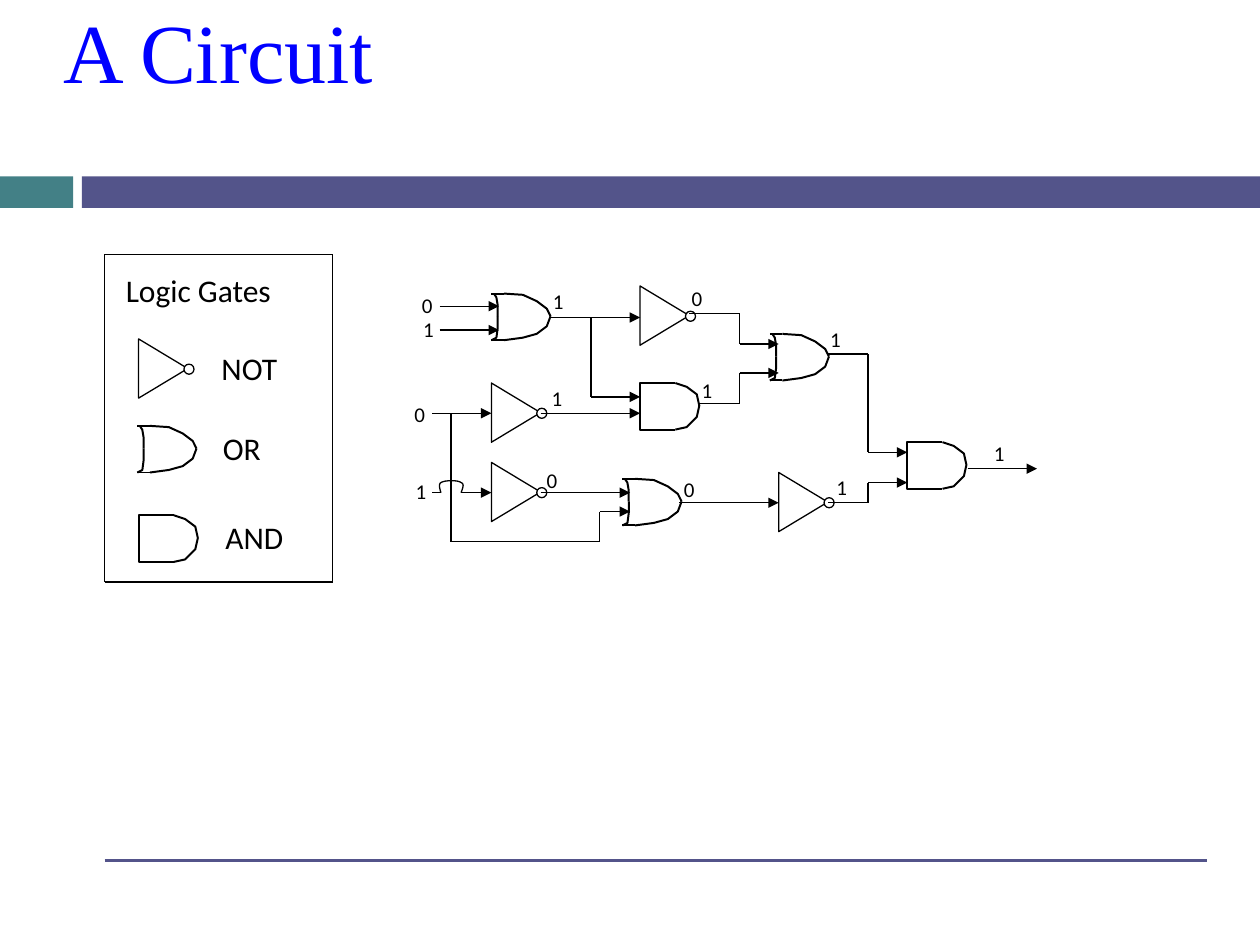
from itertools import pairwise

from lxml import etree
from pptx import Presentation
from pptx import util as u
from pptx.dml.color import RGBColor
from pptx.enum import shapes, text
from pptx.oxml.ns import qn

PX = 9144  # 100 px to the inch
COLORS = {"teal": "438086", "indigo": "53548A", "title": "0000FF",
          "ink": "000000", "paper": "FFFFFF"}
THIN, THICK = 0.75, 1.13

BARS = [(0, 140, 58, 25, "teal"), (65, 140, 935, 25, "indigo")]
FOOTER_RULE = [(83, 683), (958, 683)]
LEGEND_FRAME = [(83, 202), (264, 202), (264, 462), (83, 462), (83, 202)]
LEGEND_LABELS = [("Logic Gates", 90, 210, 166), ("NOT", 166, 272, 74),
                 ("OR", 167, 336, 57), ("AND", 169, 406, 75)]

# Left and top of each gate; the first of each kind stands in the legend
NOT_GATES = [(110, 269), (618, 375), (508, 227), (390, 367), (390, 304)]
OR_GATES = [(109, 338), (611, 265), (494, 380), (390, 233)]
AND_GATES = [(110, 409), (720, 351), (508, 304)]

OR_OUTLINE = [
    [(47, 18), (44, 26), (36, 32), (25, 35), (10, 37)],
    [(10, 0), (25, 1), (36, 6), (44, 12), (47, 18)],
    [(5, 18), (5, 27), (4, 35), (0, 37)],
    [(5, 18), (5, 9), (4, 3), (2, 0)],
]
OR_EDGES = [[(0, 0), (10, 0)], [(0, 37), (10, 37)]]
AND_OUTLINE = [
    [(28, 0), (37, 3), (45, 9), (47, 18), (45, 27), (37, 35), (28, 37)],
    [(28, 0), (0, 0), (0, 37), (28, 37)],
]

ARROW_WIRES = [
    [(349, 243), (396, 243)],
    [(349, 262), (396, 262)],
    [(343, 328), (390, 328)],
    [(366, 391), (390, 391)],
    [(429, 391), (500, 391)],
    [(358, 328), (358, 430), (476, 430), (476, 406), (500, 406)],
    [(429, 328), (508, 328)],
    [(437, 252), (508, 252)],
    [(469, 252), (469, 315), (508, 315)],
    [(555, 320), (587, 320), (587, 296), (618, 296)],
    [(547, 249), (587, 249), (587, 273), (618, 273)],
    [(657, 281), (689, 281), (689, 359), (720, 359)],
    [(539, 399), (618, 399)],
    [(657, 399), (689, 399), (689, 383), (720, 383)],
    [(768, 372), (823, 372)],
]
PLAIN_WIRE = [(343, 391), (350, 391)]
BRIDGE_CURVES = [  # Bezier control points of the wire crossing
    [(350, 391), (349, 388), (348, 384), (350, 383)],
    [(350, 383), (353, 381), (364, 381), (366, 383)],
    [(366, 383), (369, 384), (367, 388), (366, 391)],
]
SIGNALS = [("1", 779, 345), ("1", 649, 254), ("1", 654, 372), ("0", 533, 373),
           ("0", 424, 366), ("0", 539, 222), ("1", 547, 295), ("1", 428, 301),
           ("1", 429, 224), ("1", 326, 246), ("1", 320, 375), ("0", 325, 227),
           ("0", 319, 314)]


def emu(*lengths):
    return [round(length * PX) for length in lengths]


def color(name):
    return RGBColor.from_string(COLORS[name])


def style_line(line, width, name="ink"):
    line.color.rgb = color(name)
    line.width = u.Pt(width)


def add_run(paragraph, words, size, font, name):
    run = paragraph.add_run()
    run.text = words
    run.font.size = u.Pt(size)
    run.font.name = font
    run.font.color.rgb = color(name)


def add_label(slide, words, left, top, width, height, size):
    box = slide.shapes.add_textbox(*emu(left, top, width, height))
    box.text_frame.word_wrap = True
    add_run(box.text_frame.paragraphs[0], words, size, "Calibri", "ink")


def add_solid(parent, kind, frame, fill, outlined=True):
    shape = parent.shapes.add_shape(kind, *emu(*frame))
    shape.shadow.inherit = False
    shape.fill.solid()
    shape.fill.fore_color.rgb = color(fill)
    if outlined:
        style_line(shape.line, THIN)
    else:
        shape.line.fill.background()
    return shape


def add_outline(parent, points, width):
    """Draw an open, unfilled freeform through the points."""
    start, *rest = [emu(*point) for point in points]
    builder = parent.shapes.build_freeform(*start, scale=1.0)
    builder.add_line_segments(rest, close=False)
    shape = builder.convert_to_shape()
    shape.shadow.inherit = False
    shape.fill.background()
    style_line(shape.line, width)


def add_wire(parent, points, width=THIN, name="ink", arrow=False):
    """Join the points by straight connectors, with an optional end arrow."""
    for start, end in pairwise(points):
        connector = parent.shapes.add_connector(
            shapes.MSO_CONNECTOR.STRAIGHT, *emu(*start, *end))
        style_line(connector.line, width, name)
        properties = connector._element.spPr
        etree.SubElement(properties, qn("a:effectLst"))
    if arrow:
        etree.SubElement(properties.find(qn("a:ln")), qn("a:tailEnd"), type="triangle")


def shifted(points, left, top):
    return [(x + left, y + top) for x, y in points]


def add_not_gate(slide, left, top):
    group = slide.shapes.add_group_shape()
    triangle = add_solid(group, shapes.MSO_SHAPE.ISOSCELES_TRIANGLE,
                         (left - 4, top + 4, 47, 39), "paper")
    triangle.rotation = 90
    add_solid(group, shapes.MSO_SHAPE.OVAL, (left + 36, top + 20, 8, 8), "paper")


def add_outlined_gate(slide, left, top, outline, edges=()):
    group = slide.shapes.add_group_shape()
    for points in outline:
        add_outline(group, shifted(points, left, top), THICK)
    for points in edges:
        add_wire(group, shifted(points, left, top), THICK)


def bezier(controls, steps=8):
    weights = (1, 3, 3, 1)
    for step in range(steps + 1):
        t = step / steps
        yield tuple(sum(w * (1 - t) ** (3 - i) * t ** i * point[axis]
                        for i, (w, point) in enumerate(zip(weights, controls)))
                    for axis in (0, 1))


def add_title(slide, words):
    title = slide.shapes.title
    title.left, title.top, title.width, title.height = emu(50, 0, 900, 139)
    frame = title.text_frame
    frame.margin_left = frame.margin_top = frame.margin_right = frame.margin_bottom = 0
    frame.vertical_anchor = text.MSO_ANCHOR.TOP
    frame.auto_size = text.MSO_AUTO_SIZE.NONE
    frame.word_wrap = True
    paragraph = frame.paragraphs[0]
    paragraph.alignment = text.PP_ALIGN.LEFT
    add_run(paragraph, words, 48, "Times New Roman", "title")


def main():
    presentation = Presentation()
    presentation.slide_width, presentation.slide_height = emu(1000, 750)
    slide = presentation.slides.add_slide(presentation.slide_layouts[5])

    for *frame, fill in BARS:
        add_solid(slide, shapes.MSO_SHAPE.RECTANGLE, frame, fill, outlined=False)
    add_wire(slide, FOOTER_RULE, 1.5, "indigo")
    add_title(slide, "A Circuit")

    add_wire(slide, LEGEND_FRAME)
    for words, left, top, width in LEGEND_LABELS:
        add_label(slide, words, left, top, width, 40, 18)

    for place in OR_GATES:
        add_outlined_gate(slide, *place, OR_OUTLINE, OR_EDGES)
    for place in NOT_GATES:
        add_not_gate(slide, *place)
    for place in AND_GATES:
        add_outlined_gate(slide, *place, AND_OUTLINE)

    for points in ARROW_WIRES:
        add_wire(slide, points, arrow=True)
    add_wire(slide, PLAIN_WIRE)
    add_outline(slide, [point for curve in BRIDGE_CURVES for point in bezier(curve)], THIN)
    for words, left, top in SIGNALS:
        add_label(slide, words, left, top, 31, 30, 12)

    presentation.save("out.pptx")


if __name__ == "__main__":
    main()
